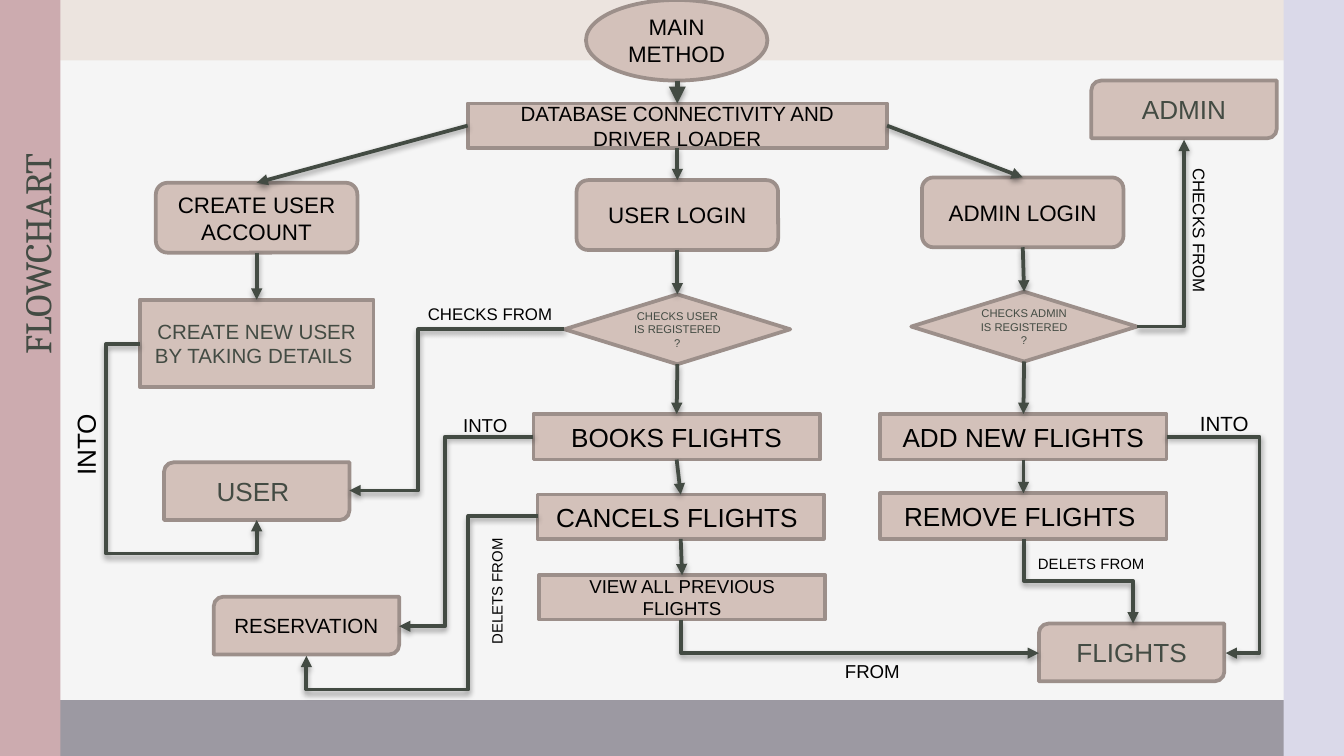
from lxml import etree
from pptx import Presentation
from pptx.dml.color import RGBColor
from pptx.enum.shapes import MSO_CONNECTOR, MSO_SHAPE
from pptx.enum.text import MSO_ANCHOR, MSO_AUTO_SIZE, PP_ALIGN
from pptx.oxml import parse_xml
from pptx.oxml.ns import nsdecls, qn
from pptx.util import Inches, Pt

PAPER = RGBColor(0xF5, 0xF5, 0xF5)
CREAM = RGBColor(0xEC, 0xE4, 0xDF)
SLATE = RGBColor(0x9C, 0x99, 0xA2)
ROSE = RGBColor(0xCC, 0xAB, 0xAF)
LILAC = RGBColor(0xDA, 0xD9, 0xE9)
CLAY = RGBColor(0xD3, 0xC1, 0xBA)
TAUPE = RGBColor(0x9C, 0x8F, 0x8A)
MOSS = RGBColor(0x43, 0x4B, 0x43)
BLACK = RGBColor(0, 0, 0)

RECT = MSO_SHAPE.RECTANGLE
ROUND = MSO_SHAPE.ROUNDED_RECTANGLE
DIAG = MSO_SHAPE.ROUND_2_DIAG_RECTANGLE
DECISION = MSO_SHAPE.FLOWCHART_DECISION
OVAL = MSO_SHAPE.OVAL
STRAIGHT, ELBOW = MSO_CONNECTOR.STRAIGHT, MSO_CONNECTOR.ELBOW
TOP, LEFT, BOTTOM, RIGHT = range(4)

BANDS = [
    ((0, 0, 10, 0.45), CREAM),
    ((0, 5.21, 10, 0.42), SLATE),
    ((0, 0, 0.45, 5.63), ROSE),
    ((9.55, 0, 0.45, 5.63), LILAC),
]
NODES = {
    "main": (OVAL, (4.36, 0, 1.35, 0.6), "MAIN METHOD", 12, BLACK),
    "database": (RECT, (3.48, 0.77, 3.12, 0.33),
                 "DATABASE CONNECTIVITY AND DRIVER LOADER", 11, BLACK),
    "account": (ROUND, (1.16, 1.36, 1.5, 0.52), "CREATE USER ACCOUNT", 12, BLACK),
    "user_login": (ROUND, (4.29, 1.34, 1.5, 0.52), "USER LOGIN", 12, BLACK),
    "admin_login": (ROUND, (6.86, 1.32, 1.5, 0.52), "ADMIN LOGIN", 12, BLACK),
    "new_user": (RECT, (1.04, 2.23, 1.74, 0.65),
                 "CREATE NEW USER BY TAKING DETAILS ", 11, MOSS),
    "user": (DIAG, (1.22, 3.44, 1.38, 0.43), "USER ", 14, MOSS),
    "user_check": (DECISION, (4.2, 2.19, 1.68, 0.52),
                   "CHECKS USER IS REGISTERED ?", 6, MOSS),
    "books": (RECT, (3.97, 3.08, 2.13, 0.34), "BOOKS FLIGHTS", 14, BLACK),
    "cancels": (RECT, (4, 3.68, 2.13, 0.33), "CANCELS FLIGHTS ", 14, BLACK),
    "view": (RECT, (4.01, 4.28, 2.13, 0.33), "VIEW ALL PREVIOUS FLIGHTS", 10, BLACK),
    "add": (RECT, (6.55, 3.08, 2.13, 0.34), "ADD NEW FLIGHTS", 14, BLACK),
    "remove": (RECT, (6.55, 3.67, 2.13, 0.34), "REMOVE FLIGHTS ", 14, BLACK),
    "admin_check": (DECISION, (6.78, 2.17, 1.68, 0.52),
                    "CHECKS ADMIN IS REGISTERED ?", 6, MOSS),
    "admin": (DIAG, (8.12, 0.6, 1.38, 0.43), "ADMIN", 14, MOSS),
    "reservation": (DIAG, (1.59, 4.44, 1.38, 0.43), "RESERVATION", 11, BLACK),
    "flights": (DIAG, (7.73, 4.64, 1.38, 0.43), "FLIGHTS", 14, MOSS),
}
LABELS = [
    ((-0.17, 3.14, 1.62, 0.34), "INTO", 14, 270),
    ((2.87, 2.21, 1.55, 0.25), "CHECKS FROM", 9, 0),
    ((8.15, 1.59, 1.55, 0.25), "CHECKS FROM", 9, 90),
    ((2.8, 3.03, 1.62, 0.27), "INTO", 10, 0),
    ((2.89, 4.28, 1.62, 0.24), "DELETS FROM", 8, 270),
    ((5.68, 4.86, 1.62, 0.27), "FROM", 10, 0),
    ((8.39, 3.01, 1.44, 0.29), "INTO", 11, 0),
    ((7.31, 4.08, 1.62, 0.24), "DELETS FROM", 8, 0),
]
ELBOWS = [
    ((1.04, 2.56), (1.91, 3.87), [-0.29, 1.19], False),
    ((4.2, 2.45), (2.6, 3.65), [0.68], False),
    ((8.46, 2.43), (8.81, 1.04), [], False),
    ((3.97, 3.25), (2.97, 4.66), [0.66], False),
    ((4, 3.84), (2.28, 4.88), [0.3, 1.24], False),
    ((5.07, 4.61), (7.73, 4.86), [], True),
    ((7.62, 4.01), (8.43, 4.64), [0.5], True),
    ((8.68, 3.25), (9.12, 4.86), [1.57], False),
]
ARROWS = [
    ("database", LEFT, "account"),
    ("database", BOTTOM, "user_login"),
    ("database", RIGHT, "admin_login"),
    ("account", BOTTOM, "new_user"),
    ("user_login", BOTTOM, "user_check"),
    ("user_check", BOTTOM, "books"),
    ("admin_login", BOTTOM, "admin_check"),
    ("admin_check", BOTTOM, "add"),
    ("books", BOTTOM, "cancels"),
    ("cancels", BOTTOM, "view"),
    ("add", BOTTOM, "remove"),
]


def set_text(sp, text, size, color, name="Arial"):
    """Write one centred run of text."""
    tf = sp.text_frame
    tf.word_wrap = True
    p = tf.paragraphs[0]
    p.alignment = PP_ALIGN.CENTER
    r = p.add_run()
    r.text = text
    for key, value in {"size": Pt(size), "name": name}.items():
        setattr(r.font, key, value)
    r.font.color.rgb = color


def add_box(s, kind, at, fill, line=None):
    """Add a flat filled shape, outlined if a line colour is given."""
    sp = s.shapes.add_shape(kind, *map(Inches, at))
    sp.shadow.inherit = False
    sp.fill.solid()
    sp.fill.fore_color.rgb = fill
    if line is None:
        sp.line.fill.background()
    else:
        sp.line.color.rgb = line
        sp.line.width = Pt(2)
    return sp


def add_node(s, kind, at, text, size, color):
    """Add one step of the flowchart."""
    sp = add_box(s, kind, at, CLAY, TAUPE)
    sp.text_frame.vertical_anchor = MSO_ANCHOR.MIDDLE
    set_text(sp, text, size, color)
    return sp


def add_label(s, at, text, size, rotation):
    """Add a caption beside an arrow."""
    sp = s.shapes.add_textbox(*map(Inches, at))
    sp.rotation = rotation
    set_text(sp, text, size, BLACK)


def add_title(s, text):
    """Turn the title placeholder to read upwards on the left band."""
    sp = s.shapes.title
    sp.element.getparent().append(sp.element)
    box = {"left": -0.83, "top": 1.67, "width": 2.21, "height": 0.44}
    for key, value in box.items():
        setattr(sp, key, Inches(value))
    sp.rotation = 270
    set_text(sp, text, 20, MOSS, "Cambria")
    sp.text_frame.vertical_anchor = MSO_ANCHOR.TOP
    sp.text_frame.auto_size = MSO_AUTO_SIZE.NONE


def add_arrow(s, kind, begin, end, width=2):
    """Add a connector with an arrowhead and a soft shadow."""
    c = s.shapes.add_connector(kind, *map(Inches, (*begin, *end)))
    c.line.color.rgb = MOSS
    c.line.width = Pt(width)
    pr = c.element.spPr
    etree.SubElement(pr.find(qn("a:ln")), qn("a:tailEnd"), type="triangle")
    pr.append(parse_xml(
        f'<a:effectLst {nsdecls("a")}>'
        '<a:outerShdw blurRad="40000" dist="20000" dir="5400000" rotWithShape="0">'
        '<a:srgbClr val="000000"><a:alpha val="38000"/></a:srgbClr>'
        '</a:outerShdw></a:effectLst>'))
    return c


def add_elbow(s, begin, end, bends, vertical):
    """Add a bent arrow, turned a quarter when it leaves vertically."""
    (x1, y1), (x2, y2) = begin, end
    if vertical:
        cx, cy, dx, dy = (x1 + x2) / 2, (y1 + y2) / 2, (x2 - x1) / 2, (y2 - y1) / 2
        begin, end = (cx + dy, cy - dx), (cx - dy, cy + dx)
    c = add_arrow(s, ELBOW, begin, end)
    pr = c.element.spPr
    if vertical:
        pr.find(qn("a:xfrm")).set("rot", "16200000")
    geom = pr.find(qn("a:prstGeom"))
    geom.set("prst", f"bentConnector{len(bends) + 2}")
    guides = geom.find(qn("a:avLst"))
    for i, bend in enumerate(bends, 1):
        etree.SubElement(guides, qn("a:gd"), name=f"adj{i}",
                         fmla=f"val {round(bend * 100000)}")


def main():
    """Build the flowchart slide."""
    prs = Presentation()
    prs.slide_width = Inches(10)
    prs.slide_height = prs.slide_width * 9 // 16
    s = prs.slides.add_slide(prs.slide_layouts[5])
    s.background.fill.solid()
    s.background.fill.fore_color.rgb = PAPER
    for at, fill in BANDS:
        add_box(s, RECT, at, fill)
    add_title(s, "FLOWCHART")
    nodes = {key: add_node(s, *node) for key, node in NODES.items()}
    for elbow in ELBOWS:
        add_elbow(s, *elbow)
    for label in LABELS:
        add_label(s, *label)
    c = add_arrow(s, STRAIGHT, (5.04, 0.6), (5.04, 0.77), 3)
    c.end_connect(nodes["database"], TOP)
    for source, side, target in ARROWS:
        c = add_arrow(s, STRAIGHT, (0, 0), (1, 1))
        c.begin_connect(nodes[source], side)
        c.end_connect(nodes[target], TOP)
    prs.save("out.pptx")


if __name__ == "__main__":
    main()
